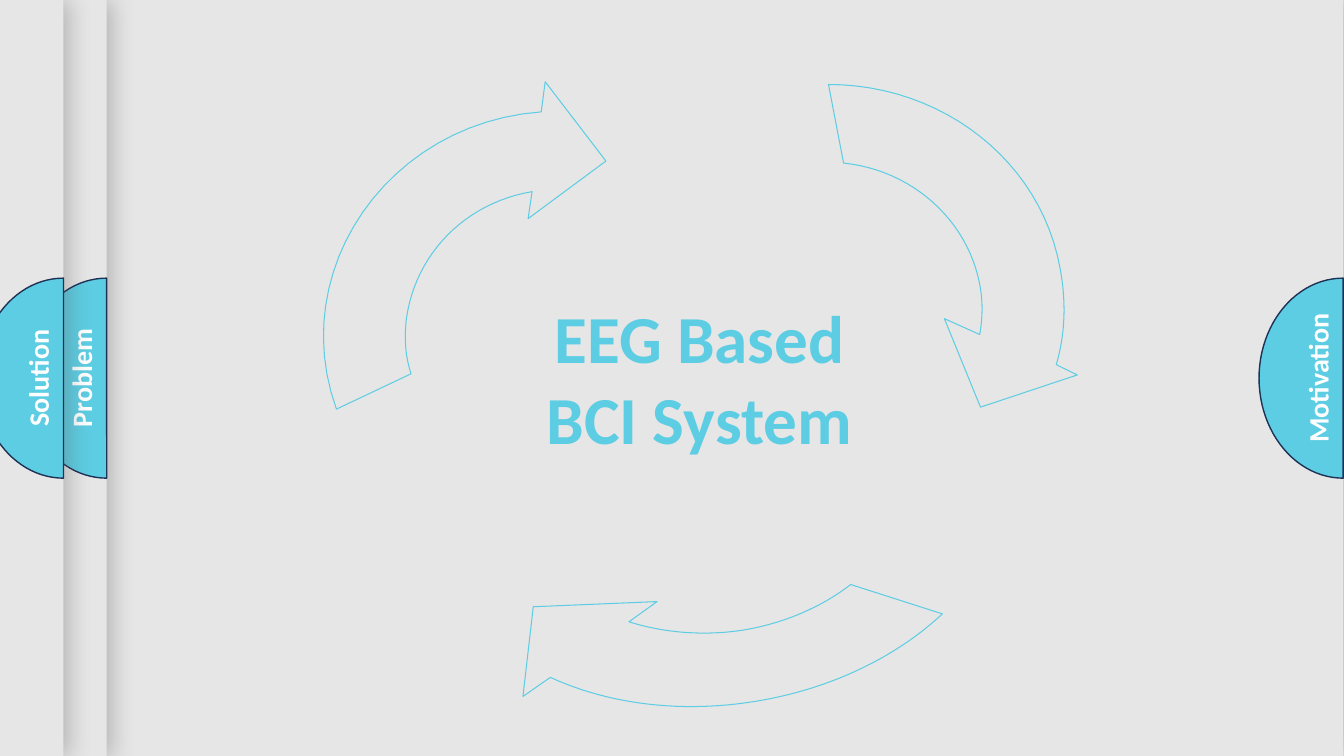
import math
import pptx
import pptx.util
import pptx.dml.color
import pptx.enum.shapes
import pptx.enum.text
from lxml import etree

Cm, Pt = pptx.util.Cm, pptx.util.Pt
RGB = pptx.dml.color.RGBColor
GREY = RGB(0xE7, 0xE6, 0xE6)
CYAN = RGB(0x5D, 0xCD, 0xE3)
NAVY = RGB(0x1E, 0x32, 0x56)
WHITE = RGB(0xFF, 0xFF, 0xFF)
FONT = "Calibri"

# Content: panels as label and right edge, in cm
WIDE, HIGH = 33.87, 19.05
PANELS = [("Motivation", 33.85), ("Problem", 2.69), ("Solution", 1.6)]
TITLE = "EEG Based BCI System"

# Arrow outlines in cm: a pair is a corner, six numbers are a Bezier curve
ARROWS = [
    [(13.74, 2.06), (13.64, 2.82), (9.78, 3.1, 7.21, 6.81, 8.48, 10.31),
     (10.36, 9.42), (10.21, 8.97, 10.19, 8.51, 10.24, 8.05),
     (10.46, 6.4, 11.73, 5.11, 13.41, 4.83), (13.31, 5.51), (15.27, 4.06)],
    [(20.88, 2.13), (21.26, 4.11), (22.99, 4.29, 24.38, 5.54, 24.69, 7.16),
     (24.77, 7.57, 24.77, 8.0, 24.69, 8.43), (23.8, 8.03), (24.71, 10.26),
     (27.15, 9.45), (26.62, 9.19), (26.85, 8.41, 26.87, 7.59, 26.72, 6.78),
     (26.24, 4.06, 23.75, 2.13, 20.88, 2.13)],
    [(13.44, 15.29), (13.18, 17.55), (13.87, 17.07),
     (15.42, 17.78, 17.25, 17.96, 19.0, 17.68),
     (20.78, 17.4, 22.5, 16.64, 23.75, 15.47), (21.44, 14.73),
     (20.68, 15.32, 19.71, 15.72, 18.72, 15.88),
     (17.75, 16.03, 16.74, 15.95, 15.85, 15.67), (16.56, 15.16)],
]
STEPS = 24


def trace(path):
    """Turn corners and curves into a list of points."""
    pts = []
    for part in path:
        if len(part) == 2:
            pts.append(part)
            continue
        ctrl = [pts[-1], part[:2], part[2:4], part[4:]]
        for i in range(1, STEPS + 1):
            t = i / STEPS
            mix = [(1 - t) ** 3, 3 * t * (1 - t) ** 2, 3 * t * t * (1 - t), t ** 3]
            pts.append(tuple(sum(m * c[axis] for m, c in zip(mix, ctrl))
                             for axis in (0, 1)))
    return pts


def outline(shapes, pts, line, width, fill=None):
    ends = [(Cm(x), Cm(y)) for x, y in pts]
    pen = shapes.build_freeform(*ends[0], scale=1.0)
    pen.add_line_segments(ends[1:], close=True)
    shape = pen.convert_to_shape()
    shape.shadow.inherit = False
    if fill is None:
        shape.fill.background()
    else:
        shape.fill.solid()
        shape.fill.fore_color.rgb = fill
    shape.line.color.rgb = line
    shape.line.width = Pt(width)


def write(shapes, text, place, size, color, turn=0):
    box = shapes.add_textbox(*map(Cm, place))
    box.rotation = turn
    frame = box.text_frame
    frame.word_wrap = True
    frame.auto_size = pptx.enum.text.MSO_AUTO_SIZE.SHAPE_TO_FIT_TEXT
    para = frame.paragraphs[0]
    para.alignment = pptx.enum.text.PP_ALIGN.CENTER
    run = para.add_run()
    run.text = text
    font = run.font
    font.name, font.size, font.bold = FONT, Pt(size), True
    font.color.rgb = color


def shade(shape):
    """Cast a soft shadow to the right."""
    shape.shadow.inherit = False
    space = "{http://schemas.openxmlformats.org/drawingml/2006/main}"
    list_ = shape._element.spPr.find(space + "effectLst")
    cast = etree.SubElement(list_, space + "outerShdw", blurRad=str(Pt(17)),
                            dist=str(Pt(3)), dir="0", algn="l", rotWithShape="0")
    tint = etree.SubElement(cast, space + "srgbClr", val="595959")
    etree.SubElement(tint, space + "alpha", val="35000")


deck = pptx.Presentation()
deck.slide_width, deck.slide_height = Cm(WIDE), Cm(HIGH)
slide = deck.slides.add_slide(deck.slide_layouts[6])
slide.background.fill.solid()
slide.background.fill.fore_color.rgb = GREY

# Stacked panels, each with a half-oval tab at its right edge
TAB_W, TAB_H, TAB_TOP = 2.12, 5.04, 7.01
LABEL_W, LABEL_H = 4.04, 1.12
mid = TAB_TOP + TAB_H / 2
for label, edge in PANELS:
    group = slide.shapes.add_group_shape().shapes
    panel = group.add_shape(pptx.enum.shapes.MSO_SHAPE.RECTANGLE,
                            Cm(edge - WIDE), 0, Cm(WIDE), Cm(HIGH))
    panel.fill.solid()
    panel.fill.fore_color.rgb = GREY
    panel.line.fill.background()
    shade(panel)
    turns = [math.pi * i / 48 for i in range(49)]
    tab = [(edge - TAB_W * math.sin(a), mid + TAB_H / 2 * math.cos(a)) for a in turns]
    outline(group, tab, NAVY, 1, CYAN)
    write(group, label, (edge - 2.66, mid - LABEL_H / 2, LABEL_W, LABEL_H),
          20, WHITE, 270)

# Ring of arrows
ring = slide.shapes.add_group_shape().shapes
for arrow in ARROWS:
    outline(ring, trace(arrow), CYAN, 0.75)

# Title in the centre
write(slide.shapes, TITLE, (12.65, 7.34, 9.96, 4.37), 48, CYAN)

deck.save("out.pptx")
